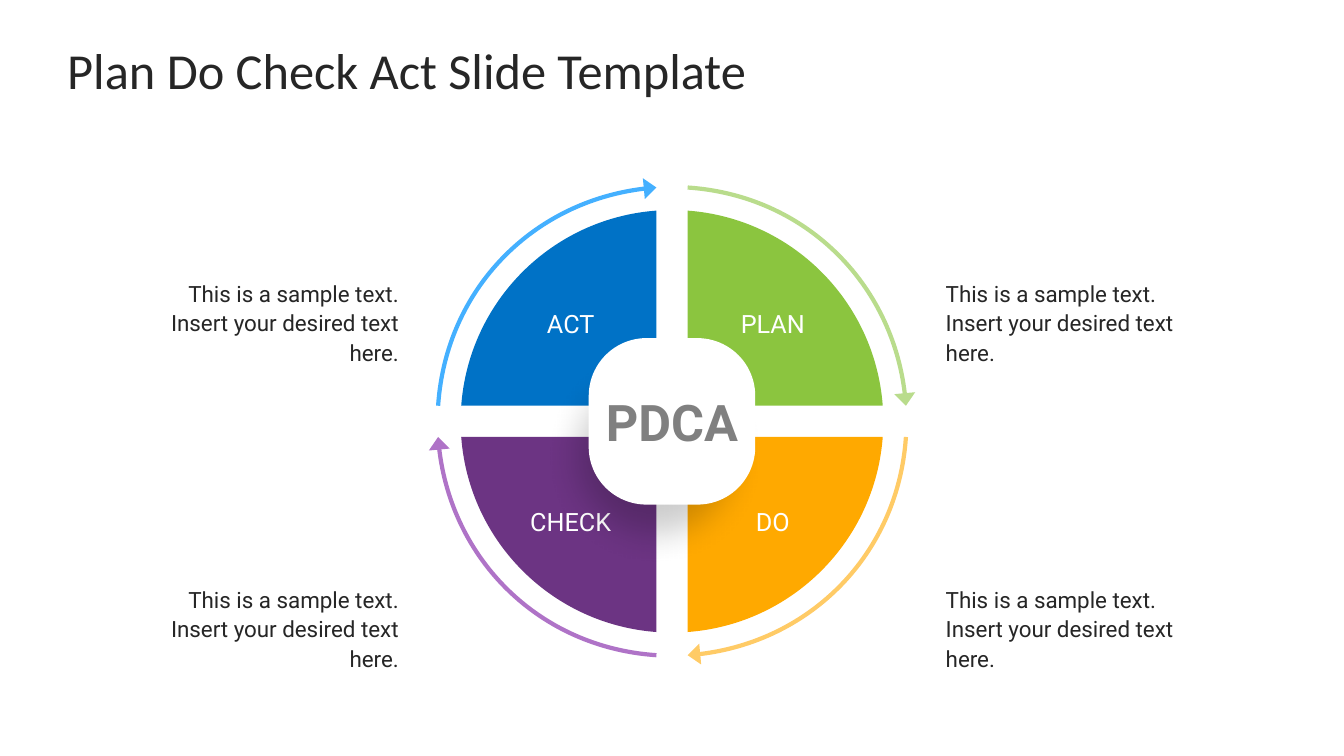
from math import asin, cos, pi, sin, tan

from lxml.etree import SubElement
from pptx import Presentation
from pptx.dml.color import RGBColor
from pptx.enum.shapes import MSO_SHAPE
from pptx.enum.text import MSO_ANCHOR, PP_ALIGN
from pptx.oxml.ns import qn
from pptx.util import Inches, Pt

prs = Presentation()
prs.slide_width, prs.slide_height = Inches(13.33), Inches(7.5)
s = prs.slides.add_slide(prs.slide_layouts[6])
rgb = RGBColor.from_string

# Grid: 75 rows of square cells; the wheel sits on the vertical centre line
U = prs.slide_height / 75
CX, CY = prs.slide_width / U / 2, 41.8
HALF_GAP = 1.55
R_INNER, R_OUTER, R_ARROW = 7.55, 20.96, 23.25


def add_arcs(quadrant, radii):
    """One clockwise quarter arc, or a closed ring segment between two radii."""
    points = []
    for i, radius in enumerate(radii):
        trim = asin(HALF_GAP / radius)
        a, b = quadrant * pi / 2 + trim, (quadrant + 1) * pi / 2 - trim
        k = 4 / 3 * tan((b - a) / 4)
        curve = [(cos(a), sin(a)), (cos(a) - k * sin(a), sin(a) + k * cos(a)),
                 (cos(b) + k * sin(b), sin(b) - k * cos(b)), (cos(b), sin(b))]
        curve = [(round((CX + radius * x) * U), round((CY + radius * y) * U))
                 for x, y in curve]
        points += curve[::-1] if i else curve
    ends = [pt for i, pt in enumerate(points) if i % 4 in (0, 3)]
    fb = s.shapes.build_freeform(*ends[0], scale=1.0)
    fb.add_line_segments(ends[1:], close=len(radii) > 1)
    sp = fb.convert_to_shape()
    sp.shadow.inherit = False
    # Every other straight side becomes a Bezier curve
    for i, side in enumerate(list(sp._element.iter(qn("a:lnTo")))[:len(ends) - 1:2]):
        side.tag = qn("a:cubicBezTo")
        for n, (x, y) in enumerate(points[4 * i + 1:4 * i + 3]):
            pt = SubElement(side, qn("a:pt"), x=str(x - sp.left), y=str(y - sp.top))
            side.insert(n, pt)
    return sp


def add_text(text, x, y, w, h, size, color, font="Roboto", align=PP_ALIGN.LEFT,
             anchor=MSO_ANCHOR.MIDDLE, bottom=0, bold=False, spacing=None):
    sp = s.shapes.add_textbox(*(round(v * U) for v in (x, y, w, h)))
    tf = sp.text_frame
    tf.word_wrap = True
    tf.vertical_anchor = anchor
    tf.margin_left = tf.margin_top = tf.margin_right = 0
    tf.margin_bottom = round(bottom * U)
    p = tf.paragraphs[0]
    p.text = text
    p.alignment = align
    p.line_spacing = spacing
    f = p.runs[0].font
    f.name, f.size, f.bold = font, Pt(size), bold
    f.color.rgb = rgb(color)


# Title
add_text("Plan Do Check Act Slide Template", 6.67, 3, 120, 7.8, 36, "262626", "Calibri")

# Quadrants, clockwise from the lower right: label, fill, arrow colour
stages = [
    ("DO", "FFA900", "FFCB66"),
    ("CHECK", "6C3483", "AF73C7"),
    ("ACT", "0072C6", "44B0FF"),
    ("PLAN", "8BC53F", "B9DC8C"),
]
for q, (label, fill, arrow) in enumerate(stages):
    right, lower = q in (0, 3), q in (0, 1)

    # Wheel segment
    sp = add_arcs(q, (R_OUTER, R_INNER))
    sp.fill.solid()
    sp.fill.fore_color.rgb = rgb(fill)
    sp.line.fill.background()

    # Curved arrow around it
    sp = add_arcs(q, (R_ARROW,))
    sp.fill.background()
    sp.line.color.rgb = rgb(arrow)
    sp.line.width = Pt(3)
    SubElement(sp.line._get_or_add_ln(), qn("a:tailEnd"), type="triangle", w="lg")

    # Label and caption
    add_text(label, CX + (10 if right else -10.05) - 4.6, 49.7 if lower else 30.05,
             9.2, 4.5, 18, "FFFFFF", align=PP_ALIGN.CENTER, bottom=0.5)
    add_text("This is a sample text. Insert your desired text here.",
             93.8 if right else 12.75, 57.87 if lower else 27.52, 26.8, 6.4, 16, "262626",
             align=PP_ALIGN.LEFT if right else PP_ALIGN.RIGHT,
             anchor=MSO_ANCHOR.TOP, spacing=1.1)

# Hub: soft shade below, white tile above
for x, y, side, color in ((53.8, 34.1, 22.3, "000000"), (58.6, 33.75, 16.1, "FFFFFF")):
    sp = s.shapes.add_shape(MSO_SHAPE.ROUNDED_RECTANGLE,
                            *(round(v * U) for v in (x, y, side, side)))
    sp.adjustments[0] = 0.343
    sp.shadow.inherit = False
    sp.fill.solid()
    sp.fill.fore_color.rgb = rgb(color)
    if color == "000000":
        sp.line.fill.background()
        clr = sp._element.spPr.find(qn("a:solidFill"))[0]
        SubElement(clr, qn("a:alpha"), val="20000")
        effects = sp._element.spPr.find(qn("a:effectLst"))
        SubElement(effects, qn("a:softEdge"), rad=str(Pt(25)))
    else:
        sp.line.color.rgb = rgb(color)
        sp.line.width = Pt(3)
add_text("PDCA", 58.2, 37, 16.9, 9.7, 36, "808080", align=PP_ALIGN.CENTER, bold=True)

prs.save("out.pptx")
